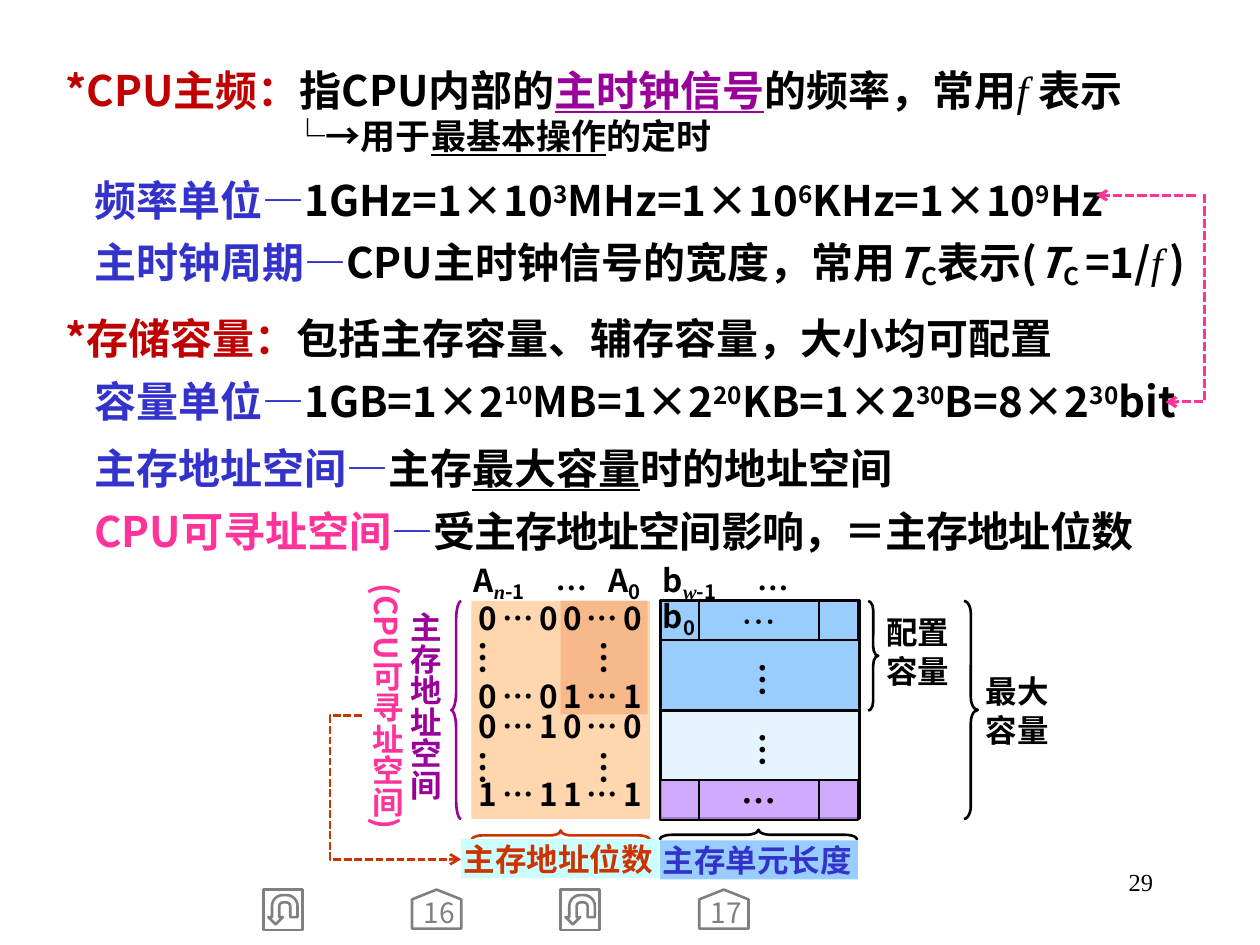
"""Build a slide on CPU clock rate, memory capacity and address space."""
from pptx import Presentation
from pptx.dml.color import RGBColor
from pptx.enum.dml import MSO_LINE as Dash
from pptx.enum.shapes import MSO_CONNECTOR as Link, MSO_SHAPE as Kind
from pptx.enum.text import MSO_ANCHOR as Anchor, PP_ALIGN as Align
from pptx.oxml.ns import qn
from pptx.util import Pt
from lxml.etree import SubElement as Sub

PX = 9144
SANS, SERIF = "Noto Sans CJK SC", "Times New Roman"
HUE = {
    "black": "000000", "red": "C00000", "purple": "990099", "blue": "3333CC",
    "pink": "FF3399", "rust": "CC3300", "gray": "808080", "sky": "99CCFF",
    "lilac": "CC99FF", "peach": "FFCC99", "aqua": "CCFFFF",
}

deck = Presentation()
deck.slide_width, deck.slide_height = 1000 * PX, 750 * PX
page = deck.slides.add_slide(deck.slide_layouts[6])


def box(kind, spot, fill=None, alpha=100, edge=None, thick=1.5, turn=0, adj=None):
    area = [n * PX for n in spot]
    if kind is None:
        return page.shapes.add_textbox(*area)
    form = page.shapes.add_shape(kind, *area)
    form.shadow.inherit = False
    form.rotation = turn
    if adj is not None:
        form.adjustments[0] = adj
    if fill:
        form.fill.solid()
        form.fill.fore_color.rgb = RGBColor.from_string(HUE[fill])
        if alpha < 100:
            tint = form.fill._xPr.find(".//" + qn("a:srgbClr"))
            Sub(tint, qn("a:alpha"), val=str(alpha * 1000))
    else:
        form.fill.background()
    if edge:
        form.line.color.rgb = RGBColor.from_string(HUE[edge])
        form.line.width = Pt(thick)
    else:
        form.line.fill.background()
    return form


def write(form, rows, base, pads=(2, 1, 2, 1), mid=False, vert=False):
    frame = form.text_frame
    frame.word_wrap = True
    frame.vertical_anchor = Anchor.MIDDLE if mid else Anchor.TOP
    (frame.margin_left, frame.margin_top,
     frame.margin_right, frame.margin_bottom) = [n * PX for n in pads]
    if vert:
        frame._txBody.bodyPr.set("vert", "eaVert")
    for i, (runs, look) in enumerate(rows):
        para = frame.add_paragraph() if i else frame.paragraphs[0]
        para.alignment = look.get("al", Align.LEFT)
        if "h" in look:
            para.line_spacing = Pt(look["h"])
        if "gap" in look:
            para.space_before = Pt(look["gap"])
        props = para._p.get_or_add_pPr()
        props.set("marL", str(look.get("left", 0) * PX))
        props.set("indent", "0")
        for text, own in runs:
            style = {"f": SANS, "c": "black", "b": True, **base, **own}
            run = para.add_run()
            run.text = text
            font = run.font
            font.size, font.bold = Pt(style["s"]), style["b"]
            font.italic = style.get("i", False)
            font.underline = style.get("u", False)
            font.color.rgb = RGBColor.from_string(HUE[style["c"]])
            font.name = style["f"]
            mark = font._element
            Sub(mark, qn("a:ea"), typeface=style["f"])
            for key, name in (("lift", "baseline"), ("spc", "spc")):
                if key in style:
                    mark.set(name, str(style[key]))


WIDE = (10, 5, 10, 5)
BIG, MED = {"s": 24}, {"s": 18}
RED, BLUE, PINK = {"c": "red"}, {"c": "blue"}, {"c": "pink"}
LINE, UP, SUB, LOW = {"u": True}, {"lift": 30000}, {"lift": -18000}, {"s": 20, "lift": -20000}
VAR = {"f": SERIF, "b": False, "i": True}
DOTS = {"f": SERIF}
HEAD, ITEM = {"h": 36, "left": 22}, {"h": 36, "left": 45}
MID = {"al": Align.CENTER, "h": 22}

write(box(None, (717, 683, 208, 50)), [([("29", {})], {"al": Align.RIGHT})],
      {"s": 14, "f": SERIF, "b": False}, WIDE)

write(box(None, (20, 36, 961, 148)), [
    ([("*CPU主频：", RED), ("指CPU内部的", {}), ("主时钟信号", {"c": "purple", "u": True}),
      ("的频率，常用", {}), ("f ", VAR), ("表示", {})], HEAD),
    ([("└", {"s": 20, "b": False}), ("→用于", {"s": 20}),
      ("最基本操作", {"s": 20, "u": True}), ("的定时", {"s": 20})], {"h": 24, "left": 201}),
    ([("频率单位—", BLUE), ("1GHz=1×10", {}), ("3", UP), ("MHz=1×10", {}), ("6", UP),
      ("KHz=1×10", {}), ("9", UP), ("Hz", {})], {**ITEM, "gap": 3}),
], BIG, WIDE)

write(box(None, (20, 233, 961, 111)), [
    ([("*存储容量：", RED), ("包括主存容量、辅存容量，大小均可配置", {})], HEAD),
    ([("容量单位—", BLUE), ("1GB=1×2", {}), ("10", UP), ("MB=1×2", {}), ("20", UP),
      ("KB=1×2", {}), ("30", UP), ("B=8×2", {}), ("30", UP), ("bit", {})], ITEM),
], BIG, WIDE)

write(box(None, (20, 173, 980, 61)), [
    ([("主时钟周期—", BLUE), ("CPU主时钟信号的宽度，常用", {}), ("T", {"i": True}),
      ("C", SUB), ("表示(", {}), ("T", {"i": True}), ("C ", SUB), ("=1/", {}),
      ("f", VAR), (" ", MED), (")", {})], {"h": 38, "left": 45}),
], BIG, WIDE)

write(box(None, (20, 336, 969, 111)), [
    ([("主存地址空间—", BLUE), ("主存", {}), ("最大容量", LINE), ("时的地址空间", {})], ITEM),
    ([("CPU可寻址空间", PINK), ("—", BLUE),
      ("受主存地址空间影响，＝主存地址位数", {"spc": -50})], ITEM),
], BIG, WIDE)

dots = [([("…", {})], {"al": Align.CENTER, "h": 23})]
box(Kind.RECTANGLE, (524, 477, 158, 173), "sky", 25, "black", 1.75)
last = box(Kind.RECTANGLE, (524, 619, 157, 32), "lilac", 80, "black", 1)
write(last, dots, {"s": 20})
box(Kind.RECTANGLE, (524, 477, 158, 87), "sky", edge="black")
box(Kind.RECTANGLE, (445, 477, 69, 90), "rust", 70)

cells = [("0…00…", "0", 20, 0), ("0…01…", "1", 17, 27.5),
         ("0…10…", "0", 17, 0), ("1…11…", "1", 17, 22)]
write(box(Kind.RECTANGLE, (374, 477, 142, 173), "peach", 80),
      [([(bits, {"spc": 300}), (end, {})], {"h": high, "gap": gap})
       for bits, end, high, gap in cells], MED, (6, 1, 2, 1))
first = box(Kind.RECTANGLE, (524, 477, 157, 31), edge="black", thick=1)
write(first, dots, {"s": 20, "b": False})

tags = [
    (374, 446, 60, 23, [("A", {}), ("n", {**LOW, "f": SERIF, "i": True}), ("-1", LOW)]),
    (439, 446, 30, 19, [("…", DOTS)]),
    (481, 446, 35, 23, [("A", {}), ("0", LOW)]),
    (524, 446, 60, 23, [("b", {}), ("w", {**LOW, "f": SERIF, "i": True}), ("-1", LOW)]),
    (599, 446, 30, 19, [("…", DOTS)]),
    (524, 476, 35, 22, [("b", {}), ("0", LOW)]),
]
for x, y, wide, high, runs in tags:
    write(box(None, (x, y, wide, 32)), [(runs, {"h": high})], MED)

for x, tops in ((372, (507, 595)), (468, (507, 595)), (594, (525, 580))):
    for y in tops:
        write(box(None, (x, y, 39, 35)), [([("…", DOTS)], {})], {"s": 20}, vert=True)

for spot, hue, turn, adj in [
    ((689, 477, 8, 87), "black", 0, 0.92), ((765, 477, 11, 173), "black", 0, 0.92),
    ((358, 477, 8, 173), "purple", 180, 1.81), ((598, 584, 8, 157), "black", 270, 1.23),
    ((441, 592, 8, 142), "rust", 270, 1.07),
]:
    box(Kind.RIGHT_BRACE, spot, edge=hue, turn=turn, adj=adj)

write(box(None, (287, 462, 71, 213)), [
    ([("主存地址空间", {"c": "purple"})], MID), ([("(CPU可寻址空间)", PINK)], MID),
], MED, mid=True, vert=True)
write(box(None, (697, 485, 63, 63)), [([(word, {})], MID) for word in ("配置", "容量")],
      MED, mid=True)
write(box(None, (776, 532, 63, 63)), [([("最大容量", {})], MID)], MED, mid=True)
for spot, fill, hue, text in [((524, 667, 157, 31), "sky", "blue", "主存单元长度"),
                              ((366, 666, 157, 31), "aqua", "rust", "主存地址位数")]:
    write(box(Kind.RECTANGLE, spot, fill), [([(text, {"c": hue})], {"h": 22})], MED, mid=True)

rules = [(Link.STRAIGHT, (x, y, x, y + 32), "black", 1, 0, None)
         for y in (477, 619) for x in (555, 650)]
rules += [
    (Link.STRAIGHT, (949, 155, 870, 155), "pink", 1.75, 0, None),
    (Link.ELBOW, (858, 221, 1023, 252), "pink", 1.75, 90, 100000),
    (Link.ELBOW, (287, 568, 366, 682), "rust", 1.5, 0, -31800),
]
for kind, ends, hue, thick, turn, bend in rules:
    rule = page.shapes.add_connector(kind, *[n * PX for n in ends])
    rule.line.color.rgb = RGBColor.from_string(HUE[hue])
    rule.line.width = Pt(thick)
    props = rule._element.spPr
    if hue != "black":
        rule.line.dash_style = Dash.SQUARE_DOT
        Sub(props.find(qn("a:ln")), qn("a:tailEnd"), type="arrow")
    if turn:
        props.find(qn("a:xfrm")).set("rot", str(turn * 60000))
    if bend is not None:
        guides = props.find(qn("a:prstGeom")).get_or_add_avLst()
        Sub(guides, qn("a:gd"), name="adj1", fmla=f"val {bend}")
    Sub(props, qn("a:effectLst"))

for x in (209, 445):
    box(Kind.ACTION_BUTTON_RETURN, (x, 706, 31, 32), edge="gray", turn=180)
for x, num in ((331, "16"), (559, "17")):
    box(Kind.PENTAGON, (x, 702, 31, 39), edge="gray", turn=270, adj=0.25)
    write(box(None, (x, 714, 31, 24)), [([(num, {})], {"al": Align.CENTER, "h": 17})],
          {"s": 16, "c": "gray", "b": False}, (4, 0, 0, 0))

deck.save("out.pptx")
